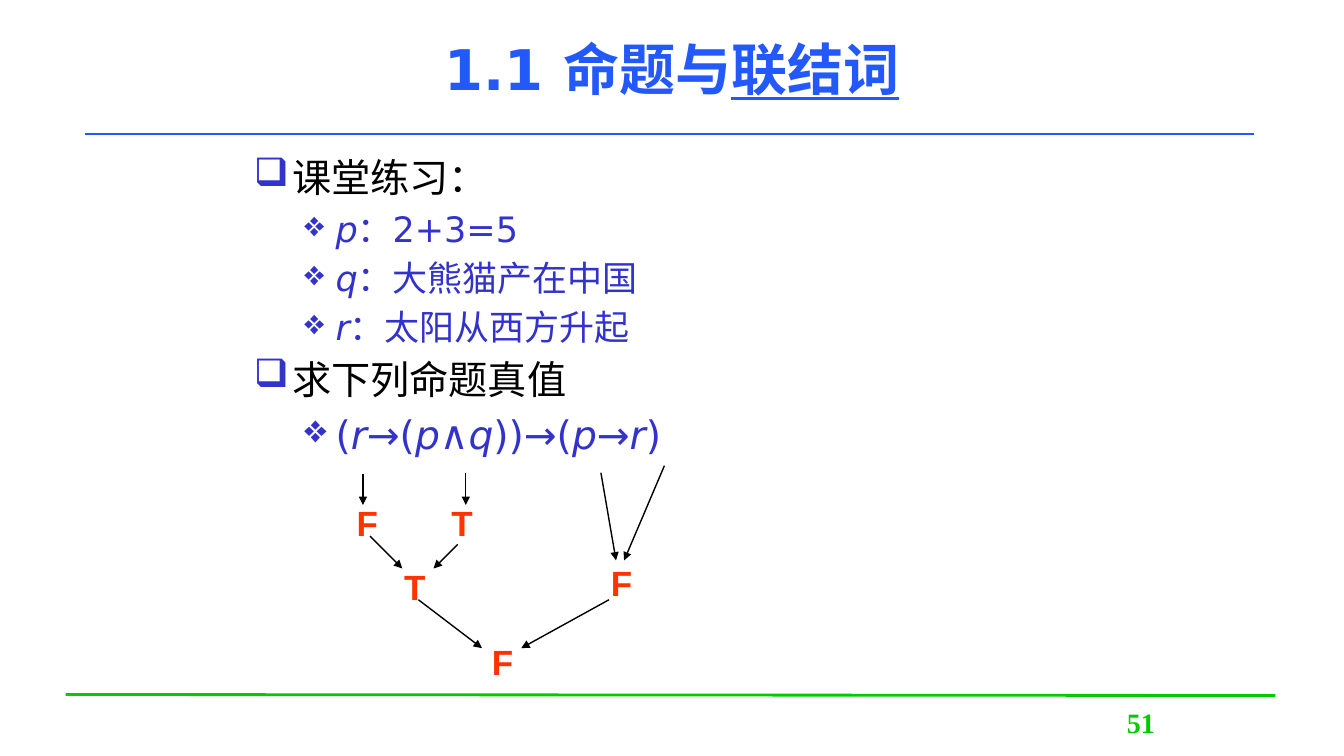
from dataclasses import dataclass

from lxml.etree import SubElement
from pptx import Presentation
from pptx.dml.color import RGBColor
from pptx.enum.shapes import MSO_CONNECTOR
from pptx.enum.text import MSO_ANCHOR, PP_ALIGN
from pptx.oxml.ns import qn
from pptx.util import Emu, Pt

PX = 9144  # EMU in one px, 100 px to the inch


@dataclass(frozen=True)
class Theme:
    blue: str = "2359FB"
    indigo: str = "3333CC"
    green: str = "00CB00"
    red: str = "FF3300"
    black: str = "000000"
    sans: str = "DejaVu Sans"
    serif: str = "Times New Roman"
    label: str = "Arial"
    title_size: int = 40
    head_size: int = 28
    item_size: int = 25
    page_size: int = 20


def px(*values):
    return [Emu(v * PX) for v in values]


def add_run(p, text, font, size, color, bold=False, italic=False, underline=False):
    r = p.add_run()
    r.text = text
    f = r.font
    f.name, f.size, f.color.rgb = font, Pt(size), RGBColor.from_string(color)
    f.bold, f.italic, f.underline = bold, italic, underline


def space_before(p, percent):
    spacing = SubElement(p._p.get_or_add_pPr(), qn("a:spcBef"))
    SubElement(spacing, qn("a:spcPct"), val=str(percent * 1000))


class SlideBuilder:
    def __init__(self, s, theme):
        self.s, self.t = s, theme

    def title(self, box, parts):
        sp = self.s.shapes.title
        sp.left, sp.top, sp.width, sp.height = px(*box)
        tf = sp.text_frame
        tf.vertical_anchor = MSO_ANCHOR.MIDDLE
        p = tf.paragraphs[0]
        p.alignment = PP_ALIGN.CENTER
        for text, underline in parts:
            add_run(p, text, self.t.sans, self.t.title_size, self.t.blue,
                    bold=True, underline=underline)

    def frame(self, *box):
        tf = self.s.shapes.add_textbox(*px(*box)).text_frame
        tf.word_wrap = True
        return tf

    def label(self, box, text, font, size, color, align=PP_ALIGN.LEFT):
        p = self.frame(*box).paragraphs[0]
        p.alignment = align
        space_before(p, 50)
        add_run(p, text, font, size, color, bold=True)

    def bullet(self, p, char, margin, indent):
        pPr = p._p.get_or_add_pPr()
        pPr.set("marL", str(margin * PX))
        pPr.set("indent", str(-indent * PX))
        space_before(p, 20)
        color = SubElement(pPr, qn("a:buClr"))
        SubElement(color, qn("a:srgbClr"), val=self.t.indigo)
        SubElement(pPr, qn("a:buChar"), char=char)

    def outline(self, box, rows):
        """Each row is a heading (str) or an item (size, runs); a one-letter variable is italic."""
        tf = self.frame(*box)
        for i, row in enumerate(rows):
            p = tf.add_paragraph() if i else tf.paragraphs[0]
            if isinstance(row, str):
                self.bullet(p, "❑", 38, 38)
                add_run(p, row, self.t.serif, self.t.head_size, self.t.black)
                continue
            self.bullet(p, "❖", 81, 31)
            p.level = 1
            size, runs = row
            for text in runs:
                add_run(p, text, self.t.sans, size, self.t.indigo, italic=text in ("p", "q", "r"))

    def line(self, ends, color, width, arrow=False):
        c = self.s.shapes.add_connector(MSO_CONNECTOR.STRAIGHT, *px(*ends))
        c.line.color.rgb, c.line.width = RGBColor.from_string(color), Pt(width)
        if arrow:
            SubElement(c.line._get_or_add_ln(), qn("a:tailEnd"), type="triangle")
        SubElement(c._element.spPr, qn("a:effectLst"))


def main():
    prs = Presentation()
    prs.slide_width, prs.slide_height = px(1333, 750)
    t = Theme()
    b = SlideBuilder(prs.slides.add_slide(prs.slide_layouts[5]), t)

    # Rules and page number
    b.line((65, 689, 1265, 690), t.green, 2)
    b.line((84, 133, 1244, 133), t.blue, 2)
    b.label((1026, 695, 211, 50), "51", t.serif, t.page_size, t.green, PP_ALIGN.CENTER)

    # Title and exercise
    b.title((100, 5, 1133, 125), [("1.1 命题与", False), ("联结词", True)])
    b.outline((242, 147, 866, 535), [
        "课堂练习：",
        (t.item_size, ["p", "：2+3=5"]),
        (t.item_size, ["q", "：大熊猫产在中国"]),
        (t.item_size, ["r", "：太阳从西方升起"]),
        "求下列命题真值",
        (t.head_size, ["(", "r", "→(", "p", "∧", "q", "))→(", "p", "→", "r", ")"]),
    ])

    # Truth values, from the parts of the formula down to the whole
    for x, y, value in [(344, 493, "F"), (438, 493, "T"), (391, 556, "T"),
                        (596, 552, "F"), (478, 630, "F")]:
        b.label((x, y, 87, 52), value, t.label, t.item_size, t.red)

    # Arrows of the evaluation tree
    for ends in [(360, 470, 360, 501), (462, 469, 462, 501),
                 (367, 532, 399, 564), (454, 540, 430, 564),
                 (596, 469, 611, 556), (659, 462, 619, 556),
                 (415, 595, 478, 643), (604, 595, 517, 643)]:
        b.line(ends, t.black, 1, arrow=True)

    prs.save("out.pptx")


if __name__ == "__main__":
    main()
